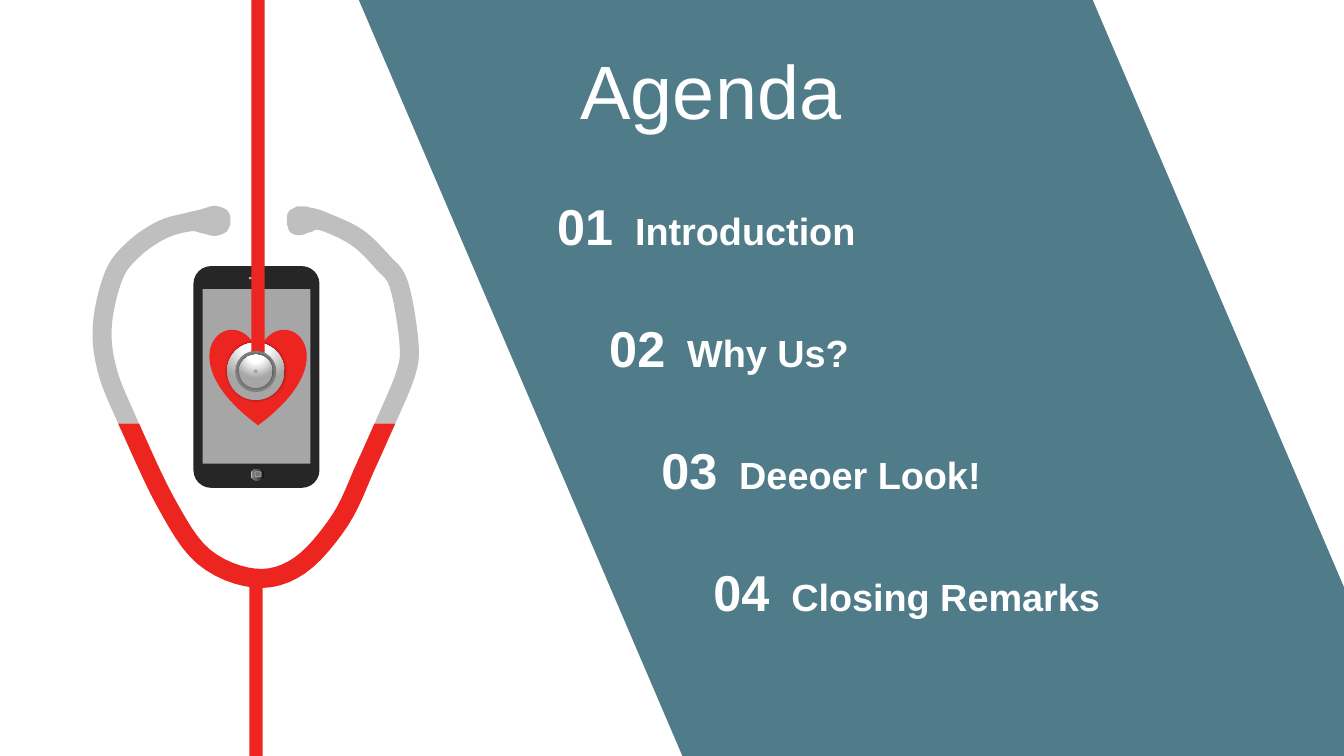
from math import hypot

from lxml import etree
from pptx import Presentation
from pptx.dml.color import RGBColor
from pptx.enum.shapes import MSO_SHAPE
from pptx.enum.text import MSO_ANCHOR, MSO_AUTO_SIZE, PP_ALIGN
from pptx.oxml import parse_xml
from pptx.oxml.ns import qn
from pptx.util import Pt

RECT, ROUNDED = MSO_SHAPE.RECTANGLE, MSO_SHAPE.ROUNDED_RECTANGLE
OVAL, HEART = MSO_SHAPE.OVAL, MSO_SHAPE.HEART
LEFT, CENTER = PP_ALIGN.LEFT, PP_ALIGN.CENTER
TOP, MIDDLE = MSO_ANCHOR.TOP, MSO_ANCHOR.MIDDLE
GROW = MSO_AUTO_SIZE.SHAPE_TO_FIT_TEXT

TITLE = "Agenda"
AGENDA = ["Introduction", "Why Us?", "Deeoer Look!", "Closing Remarks"]

COLORS = {
    "teal": "507C89", "red": "ED2521", "white": "FFFFFF", "case": "262626",
    "tube": "BFBFBF", "screen": "A6A6A6", "speaker": "B0B0B0",
    "ring": "808080", "button": "737373", "black": "000000",
}
# Gradient fills: stops as (percent, colour), then the direction
GRADIENTS = {
    "home": ([(0, "0F0F0F"), (56, "595959"), (91, "808080"), (100, "BFBFBF")],
             '<a:lin ang="10800000" scaled="0"/>'),
    "metal": ([(0, "FFFFFF"), (35, "FFFFFF"), (100, "A6A6A6")],
              '<a:path path="circle"><a:fillToRect l="50000" t="-80000" '
              'r="50000" b="180000"/></a:path>'),
}

SLIDE_WIDTH, SLIDE_HEIGHT = 960, 540
BAND_LEFT, BAND_RIGHT, BAND_SLOPE = 256.3, 780.5, 0.428

# Part: preset, left, top, width, height, fill
PHONE = {
    "case": (ROUNDED, 138.2, 190.1, 90, 158.4, "case"),
    "speaker": (RECT, 177.8, 198, 9.4, 1.4, "speaker"),
    "home button": (OVAL, 179.3, 334.8, 9.4, 8.6, "home"),
    "home symbol": (ROUNDED, 182.2, 337, 4.3, 3.6, "button"),
    "screen": (RECT, 144.7, 206.6, 77, 124.6, "screen"),
    "heart": (HEART, 149.8, 234.7, 69.1, 69.1, "red"),
}
LOWER_CORD = (RECT, 178.2, 410.8, 9.4, 129.2, "red")
UPPER_CORD = (RECT, 179.6, 0, 9.4, 257.8, "red")

# Concentric discs of the stethoscope head: diameter, fill
HEAD_X, HEAD_Y = 182.7, 265.3
CHESTPIECE = (41, "metal")
DIAPHRAGM = [(29.5, "ring"), (23.8, "metal"), (2.9, "screen")]

# Tubes follow a centre line of (x, y, width); red meets grey at CUT
CUT, TUBE = 302.4, 13.6
YOKE = [(x, y, TUBE) for x, y in [
    (91.8, CUT), (118.5, 359), (145.3, 397.5), (182, 413),
    (214, 404), (243, 371.5), (261.5, 332.5), (275, CUT)]]
LEFT_EARPIECE = [
    (91.8, CUT, TUBE), (77.2, 266.8, TUBE), (73, 233.5, TUBE),
    (81.2, 197, TUBE), (95.5, 178, TUBE), (116, 164, TUBE),
    (135.5, 158.5, TUBE), (145.5, 158, 18), (153.5, 157.8, 21.5),
    (161.5, 157.5, 16), (164.5, 157.5, 6)]
RIGHT_EARPIECE = [
    (275, CUT, TUBE), (289.5, 268, TUBE), (292.2, 245.5, TUBE),
    (285, 203.5, TUBE), (273.5, 187.5, TUBE), (254.8, 169.5, TUBE),
    (230.5, 158, TUBE), (220, 157, 18.5), (212.5, 157.8, 20.5),
    (207, 157.5, 15), (205, 157.5, 6)]
STEPS = 6  # samples between two centre-line points

NUMBER_LEFT, NUMBER_TOP = 380.2, 136.1
LABEL_DX, LABEL_DY = 64.8, 8.64
STEP_X, STEP_Y = 37.2, 87.1


def rgb(color):
    return RGBColor.from_string(COLORS[color])


def paint(shape, color):
    shape.shadow.inherit = False
    shape.line.fill.background()
    shape.fill.solid()
    shape.fill.fore_color.rgb = rgb(color)


def paint_gradient(shape, stops, direction):
    paint(shape, "white")
    stop_xml = "".join(f'<a:gs pos="{pos * 1000}"><a:srgbClr val="{color}"/></a:gs>'
                       for pos, color in stops)
    gradient = parse_xml(
        '<a:gradFill xmlns:a="http://schemas.openxmlformats.org/drawingml/2006/main" '
        f'rotWithShape="1"><a:gsLst>{stop_xml}</a:gsLst>{direction}</a:gradFill>')
    properties = shape.element.spPr
    properties.replace(properties.find(qn("a:solidFill")), gradient)


def add_glow(shape):
    """Put a soft dark shadow all round the shape."""
    effects = shape.element.spPr.find(qn("a:effectLst"))
    shadow = etree.SubElement(effects, qn("a:outerShdw"), blurRad=str(Pt(2)),
                              dist="0", dir="0", algn="ctr", rotWithShape="0")
    color = etree.SubElement(shadow, qn("a:srgbClr"), val=COLORS["black"])
    etree.SubElement(color, qn("a:alpha"), val="40000")


def add_part(preset, left, top, width, height, fill):
    part = slide.shapes.add_shape(preset, Pt(left), Pt(top), Pt(width), Pt(height))
    if fill in GRADIENTS:
        paint_gradient(part, *GRADIENTS[fill])
    else:
        paint(part, fill)
    return part


def add_disc(diameter, fill):
    radius = diameter / 2
    disc = add_part(OVAL, HEAD_X - radius, HEAD_Y - radius, diameter, diameter, fill)
    if fill == "metal":
        disc.rotation = 270
        add_glow(disc)


def add_outline(outline, color):
    corners = [(Pt(x), Pt(y)) for x, y in outline]
    builder = slide.shapes.build_freeform(*corners[0])
    builder.add_line_segments(corners[1:], close=True)
    paint(builder.convert_to_shape(), color)


def spline(a, b, c, d, t):
    """Value and slope at t of the Catmull-Rom curve from b to c."""
    k1, k2, k3 = c - a, 2 * a - 5 * b + 4 * c - d, 3 * b - a - 3 * c + d
    return (b + (k1 * t + k2 * t**2 + k3 * t**3) / 2,
            (k1 + 2 * k2 * t + 3 * k3 * t**2) / 2)


def add_tube(centre_line, color):
    """Draw a smooth tube: one edge out along the curve, the other edge back."""
    points = [centre_line[0], *centre_line, centre_line[-1]]
    samples = [(span, step / STEPS) for span in range(len(centre_line) - 1)
               for step in range(STEPS)] + [(len(centre_line) - 2, 1)]
    one_edge, other_edge = [], []
    for span, t in samples:
        (x, dx), (y, dy), (width, _) = [
            spline(*values, t) for values in zip(*points[span:span + 4])]
        length = hypot(dx, dy)
        across_x, across_y = -dy / length * width / 2, dx / length * width / 2
        if y == CUT:  # level end: widen the slanted section until it lies flat
            across_x, across_y = across_x + across_y**2 / across_x, 0
        one_edge.append((x + across_x, y + across_y))
        other_edge.append((x - across_x, y - across_y))
    add_outline(one_edge + other_edge[::-1], color)


def write(box, text, size, bold, align, anchor, inset):
    frame = box.text_frame
    frame.text = text
    frame_format = {
        "word_wrap": True, "auto_size": GROW, "vertical_anchor": anchor,
        "margin_left": Pt(inset), "margin_right": Pt(inset),
        "margin_top": Pt(3.6), "margin_bottom": Pt(3.6),
    }
    for name, value in frame_format.items():
        setattr(frame, name, value)
    paragraph = frame.paragraphs[0]
    for name, value in {"alignment": align, "line_spacing": 1.0}.items():
        setattr(paragraph, name, value)
    font = paragraph.runs[0].font
    for name, value in {"name": "Arial", "size": Pt(size), "bold": bold}.items():
        setattr(font, name, value)
    font.color.rgb = rgb("white")


def add_label(text, left, top, width, height, size, align):
    box = slide.shapes.add_textbox(Pt(left), Pt(top), Pt(width), Pt(height))
    write(box, text, size, True, align, TOP, 8.64)


deck = Presentation()
deck.slide_width, deck.slide_height = Pt(SLIDE_WIDTH), Pt(SLIDE_HEIGHT)
slide = deck.slides.add_slide(deck.slide_layouts[5])

# Slanted band, cut off by the right and bottom edges of the slide
add_outline([(BAND_LEFT, 0), (BAND_RIGHT, 0),
             (SLIDE_WIDTH, (SLIDE_WIDTH - BAND_RIGHT) / BAND_SLOPE),
             (SLIDE_WIDTH, SLIDE_HEIGHT),
             (BAND_LEFT + SLIDE_HEIGHT * BAND_SLOPE, SLIDE_HEIGHT)], "teal")

phone = {name: add_part(*part) for name, part in PHONE.items()}
phone["case"].adjustments[0] = 0.14
symbol_line = phone["home symbol"].line
symbol_line.color.rgb = rgb("speaker")
symbol_line.width = Pt(0.5)

add_part(*LOWER_CORD)
add_disc(*CHESTPIECE)
for tube, color in [(YOKE, "red"), (LEFT_EARPIECE, "tube"), (RIGHT_EARPIECE, "tube")]:
    add_tube(tube, color)

title = slide.shapes.title
title_place = {"left": 407.5, "top": 27.4, "width": 474.5, "height": 72.7}
for side, length in title_place.items():
    setattr(title, side, Pt(length))
write(title, TITLE, 54, False, LEFT, MIDDLE, 7.2)
slide.shapes.element.append(title.element)  # in front of the band

for row, topic in enumerate(AGENDA):
    left, top = NUMBER_LEFT + row * STEP_X, NUMBER_TOP + row * STEP_Y
    add_label(topic, left + LABEL_DX, top + LABEL_DY, 355, 39.6, 27, LEFT)
    add_label(f"{row + 1:02}", left, top, 75.6, 51.1, 36, CENTER)

add_part(*UPPER_CORD)
for disc in DIAPHRAGM:
    add_disc(*disc)

deck.save("out.pptx")
